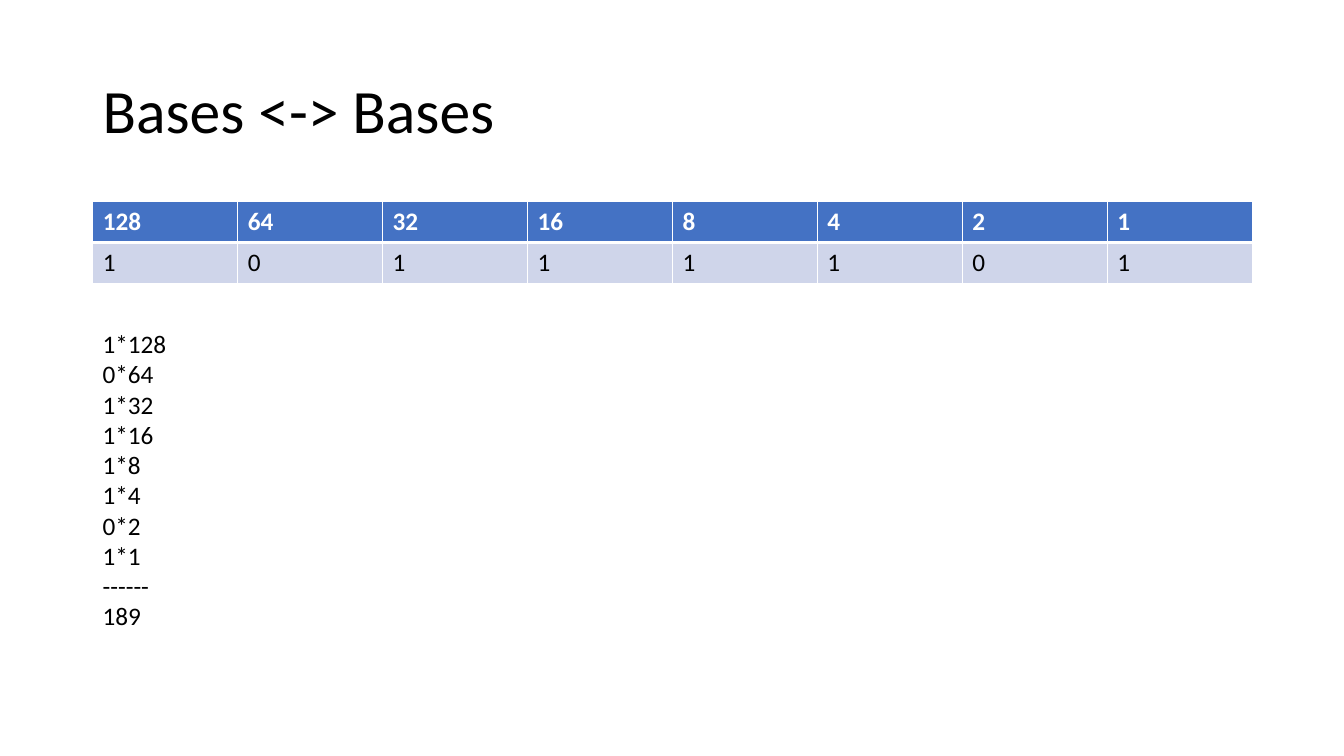
from lxml.etree import SubElement
from pptx import Presentation
from pptx.dml.color import RGBColor
from pptx.enum.text import MSO_ANCHOR, MSO_AUTO_SIZE
from pptx.oxml.ns import qn
from pptx.util import Inches, Pt

BITS = "10111101"
WEIGHTS = [2 ** i for i in reversed(range(len(BITS)))]
LEFT, WIDTH = 0.92, 11.5


def color(value):
    return RGBColor.from_string(value)


def add_run(p, text, size=18, fill="000000", bold=False):
    r = p.add_run()
    r.text = text
    r.font.name = "Calibri"
    r.font.size = Pt(size)
    r.font.bold = bold
    r.font.color.rgb = color(fill)


def add_border(cell, side, width):
    ln = SubElement(cell._tc.get_or_add_tcPr(), qn(f"a:ln{side}"), w=str(Pt(width)))
    fill = SubElement(ln, qn("a:solidFill"))
    SubElement(fill, qn("a:srgbClr"), val="FFFFFF")


def add_title(s, x, y, w, h):
    tf = s.shapes.add_textbox(Inches(x), Inches(y), Inches(w), Inches(h)).text_frame
    tf.word_wrap = True
    tf.vertical_anchor = MSO_ANCHOR.MIDDLE
    p = tf.paragraphs[0]
    p.line_spacing = 0.9
    add_run(p, "Bases <-> Bases", size=44)


def add_bit_table(s, x, y, w, h):
    rows = [WEIGHTS, BITS]
    table = s.shapes.add_table(len(rows), len(BITS), Inches(x), Inches(y),
                               Inches(w), Inches(h)).table
    for i, values in enumerate(rows):
        header = i == 0
        for j, value in enumerate(values):
            cell = table.cell(i, j)
            add_run(cell.text_frame.paragraphs[0], str(value),
                    fill="FFFFFF" if header else "000000", bold=header)
            # Borders come before the fill; the line under the header is thick
            for side, width in zip("LRTB", (1, 1, 1, 3) if header else (1, 1, 3, 1)):
                add_border(cell, side, width)
            cell.fill.solid()
            cell.fill.fore_color.rgb = color("4472C4" if header else "CFD5EA")


def add_sum(s, x, y, w, h):
    tf = s.shapes.add_textbox(Inches(x), Inches(y), Inches(w), Inches(h)).text_frame
    tf.word_wrap = False
    tf.auto_size = MSO_AUTO_SIZE.SHAPE_TO_FIT_TEXT
    terms = [f"{bit}*{weight}" for bit, weight in zip(BITS, WEIGHTS)]
    for i, line in enumerate(terms + ["------", str(int(BITS, 2))]):
        p = tf.add_paragraph() if i else tf.paragraphs[0]
        add_run(p, line)


def main():
    prs = Presentation()
    prs.slide_width, prs.slide_height = Inches(13.33), Inches(7.5)
    s = prs.slides.add_slide(prs.slide_layouts[6])
    add_title(s, LEFT, 0.4, WIDTH, 1.45)
    add_bit_table(s, LEFT, 2, WIDTH, 0.81)
    add_sum(s, LEFT, 3.21, 0.84, 3.13)
    prs.save("out.pptx")


if __name__ == "__main__":
    main()
